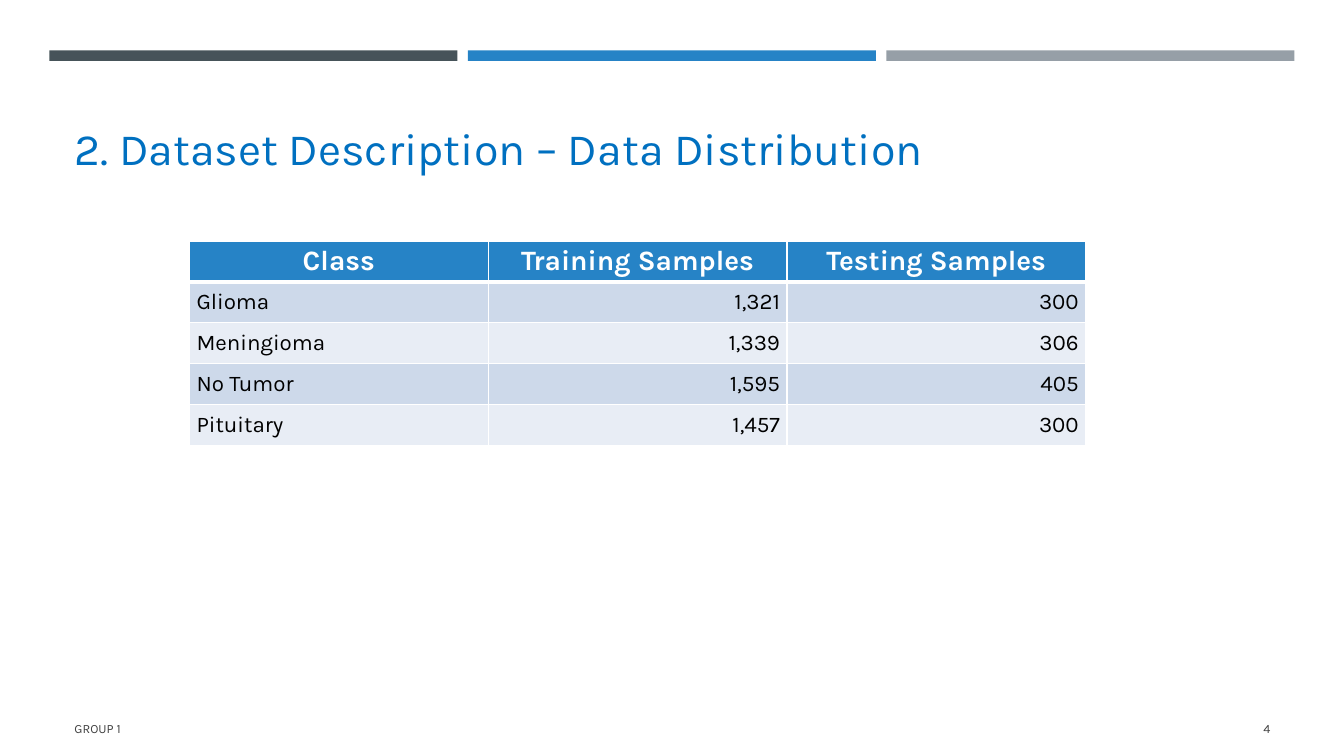
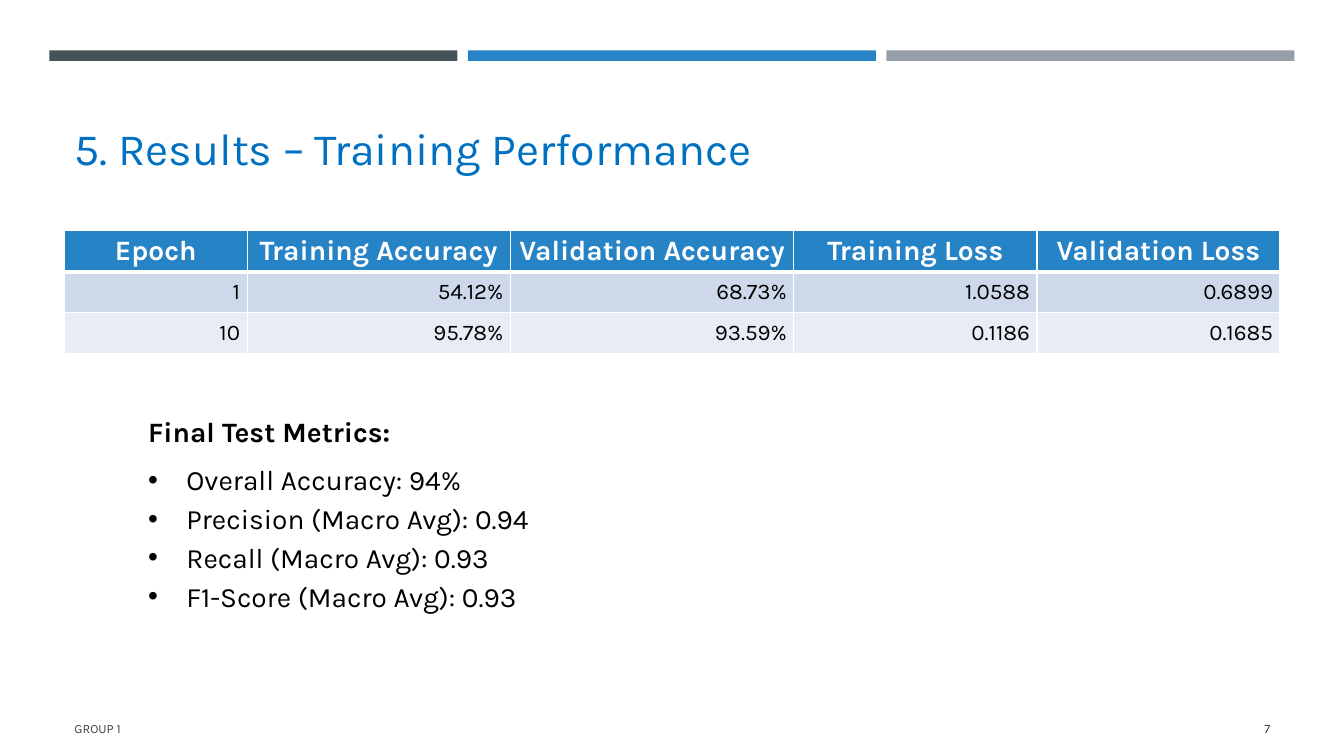
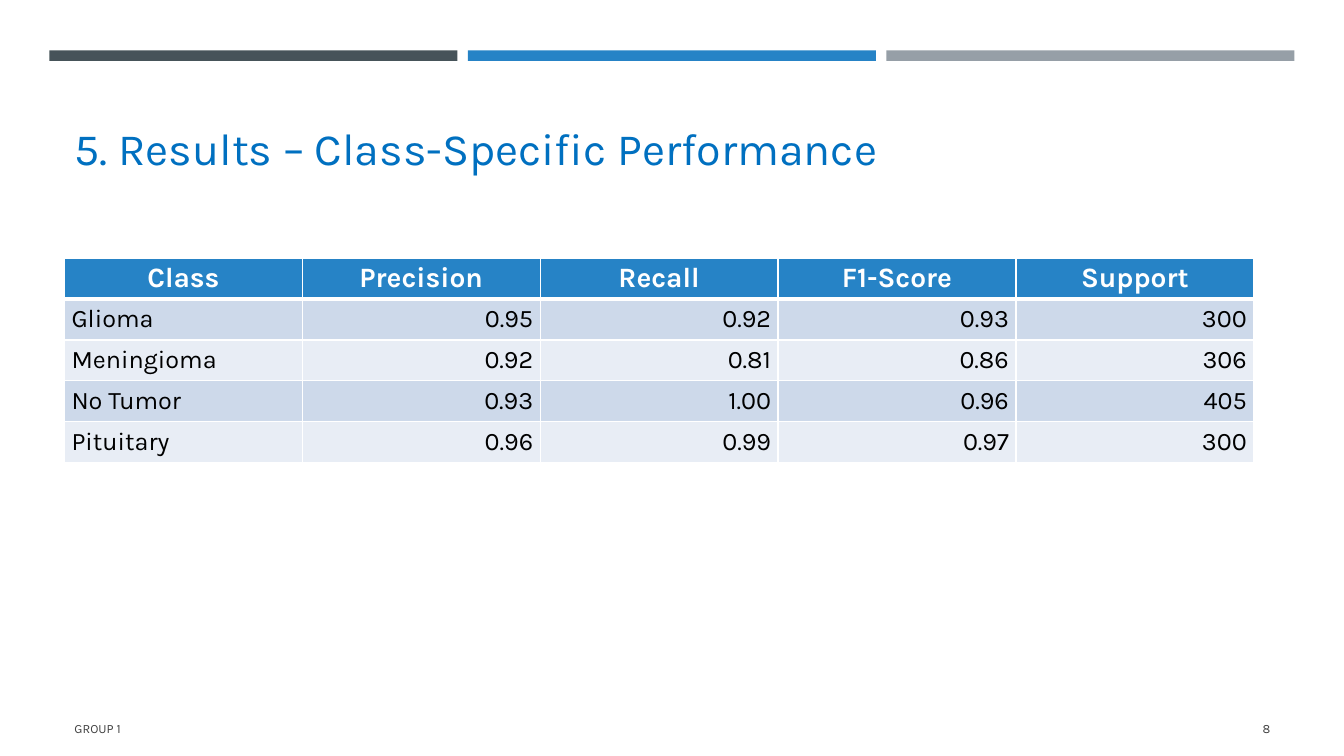
from lxml.etree import SubElement
from pptx import Presentation
from pptx.dml.color import RGBColor
from pptx.enum.shapes import MSO_SHAPE
from pptx.enum.text import MSO_ANCHOR, MSO_AUTO_SIZE, PP_ALIGN
from pptx.oxml.ns import qn
from pptx.util import Inches, Pt

LEFT, CENTER, RIGHT = PP_ALIGN.LEFT, PP_ALIGN.CENTER, PP_ALIGN.RIGHT
TOP, MIDDLE = MSO_ANCHOR.TOP, MSO_ANCHOR.MIDDLE
NO_FIT, GROW = MSO_AUTO_SIZE.NONE, MSO_AUTO_SIZE.SHAPE_TO_FIT_TEXT
RECTANGLE = MSO_SHAPE.RECTANGLE
TITLE_ONLY = 5


def color(value):
    """Turn a hex string into a colour."""
    return RGBColor.from_string(value)


def write(para, text, size=20, ink="000000", bold=False, align=LEFT,
          before=0, after=0, spacing=None, bullet=None):
    """Put formatted text into a paragraph."""
    para.alignment = align
    para.space_before, para.space_after = Pt(before), Pt(after)
    if spacing:
        para.line_spacing = spacing
    if bullet:
        properties = para._p.get_or_add_pPr()
        indent = Inches(0.38)
        properties.set("marL", str(indent))
        properties.set("indent", str(-indent))
        SubElement(properties, qn("a:buFont"), typeface="Arial")
        SubElement(properties, qn("a:buChar"), char=bullet)
    span = para.add_run()
    span.text = text
    span.font.name = Deck.FONT
    span.font.size = Pt(size)
    span.font.bold = bold
    span.font.color.rgb = color(ink)


def draw_borders(cell, widths):
    """Draw white cell borders, given widths by side."""
    properties = cell._tc.get_or_add_tcPr()
    for side in "LRTB":
        line = SubElement(properties, qn(f"a:ln{side}"), w=str(Pt(widths.get(side, 1))))
        fill = SubElement(line, qn("a:solidFill"))
        SubElement(fill, qn("a:srgbClr"), val=Deck.WHITE)


class Deck:
    """Hold the shared style and the current page; lengths are percent of the slide."""

    FONT = "Karla"
    WHITE, ACCENT, TITLE, FOOTER = "FFFFFF", "2683C6", "0070C0", "404040"
    BARS = ("465359", ACCENT, "969FA7")
    BANDS = ("CDD9EA", "E8EDF5")
    MARGIN, CONTENT = 4.8, 90.45
    BAR_LEFT, BAR_SPAN, BAR_GAP = 3.68, 92.63, 0.78
    ROW = 5.42

    def __init__(self):
        """Start an empty wide deck."""
        self.deck = Presentation()
        self.deck.slide_width, self.deck.slide_height = Inches(13.33), Inches(7.5)
        self.page = None

    def across(self, share):
        """Convert a percentage of the slide width."""
        return round(self.deck.slide_width * share / 100)

    def down(self, share):
        """Convert a percentage of the slide height."""
        return round(self.deck.slide_height * share / 100)

    def frame(self, left, top, width, height):
        """Convert percentages into a position and size."""
        return self.across(left), self.down(top), self.across(width), self.down(height)

    def add_page(self, title, number):
        """Add a page with its bars, title and footer."""
        self.page = self.deck.slides.add_slide(self.deck.slide_layouts[TITLE_ONLY])
        self.add_bars()
        self.add_title(title)
        self.add_text(self.MARGIN, 93.73, 56.71, 5.33, ["GROUP 1"], anchor=MIDDLE,
                      size=9, ink=self.FOOTER)
        self.add_text(86.63, 93.73, 8.62, 5.33, [number], anchor=MIDDLE,
                      size=9, ink=self.FOOTER, align=RIGHT)

    def add_bars(self):
        """Draw the row of equal bars at the top."""
        count = len(self.BARS)
        width = (self.BAR_SPAN - self.BAR_GAP * (count - 1)) / count
        for index, fill in enumerate(self.BARS):
            left = self.BAR_LEFT + index * (width + self.BAR_GAP)
            bar = self.page.shapes.add_shape(RECTANGLE, *self.frame(left, 6.67, width, 1.4))
            bar.shadow.inherit = False
            bar.fill.solid()
            bar.fill.fore_color.rgb = color(fill)
            bar.line.fill.background()

    def add_title(self, text):
        """Move and format the title placeholder."""
        box = self.page.shapes.title
        box.left, box.top, box.width, box.height = self.frame(
            self.MARGIN, 14.53, self.CONTENT, 13)
        box.text_frame.auto_size = NO_FIT
        box.text_frame.vertical_anchor = TOP
        write(box.text_frame.paragraphs[0], text, size=32, ink=self.TITLE,
              before=8, after=4, spacing=1.1)

    def add_text(self, left, top, width, height, lines, anchor=TOP, **style):
        """Add a text box with one paragraph for each line."""
        box = self.page.shapes.add_textbox(*self.frame(left, top, width, height))
        box.text_frame.word_wrap = True
        box.text_frame.vertical_anchor = anchor
        for index, line in enumerate(lines):
            para = box.text_frame.add_paragraph() if index else box.text_frame.paragraphs[0]
            write(para, line, **style)
        return box

    def add_list(self, left, top, width, height, heading, items):
        """Add a bold heading followed by bullets."""
        box = self.add_text(left, top, width, height, [heading],
                            bold=True, before=9, after=9)
        box.text_frame.auto_size = GROW
        for item in items:
            write(box.text_frame.add_paragraph(), item, before=1.8, after=1.8, bullet="•")

    def add_table(self, left, top, width, rows, weights=None, size=16):
        """Add a banded table whose first row is the header."""
        weights = weights or [1] * len(rows[0])
        table = self.page.shapes.add_table(
            len(rows), len(weights),
            *self.frame(left, top, width, self.ROW * len(rows))).table
        table.horz_banding = False
        for column, weight in zip(table.columns, weights):
            column.width = self.across(width * weight / sum(weights))
        for row_index, values in enumerate(rows):
            table.rows[row_index].height = self.down(self.ROW)
            for column_index, value in enumerate(values):
                self.fill_cell(table.cell(row_index, column_index), value, row_index, size)

    def fill_cell(self, cell, value, row_index, size):
        """Format one cell by its row and the kind of value."""
        cell.margin_left = cell.margin_right = Inches(0.07)
        cell.margin_top = cell.margin_bottom = 0
        cell.vertical_anchor = MIDDLE
        para = cell.text_frame.paragraphs[0]
        if row_index == 0:
            borders, fill = {"B": 3}, self.ACCENT
            style = {"size": 20, "ink": self.WHITE, "bold": True, "align": CENTER}
        else:
            borders = {"T": 3} if row_index == 1 else {}
            fill = self.BANDS[(row_index - 1) % 2]
            style = {"size": size, "align": LEFT if value[0].isalpha() else RIGHT}
        draw_borders(cell, borders)
        cell.fill.solid()
        cell.fill.fore_color.rgb = color(fill)
        write(para, value, before=1.8, after=1.8, **style)


def main():
    """Build the three pages and save them."""
    deck = Deck()

    deck.add_page("2. Dataset Description – Data Distribution", "4")
    deck.add_table(14.1, 31.87, 66.69, [
        ("Class", "Training Samples", "Testing Samples"),
        ("Glioma", "1,321", "300"),
        ("Meningioma", "1,339", "306"),
        ("No Tumor", "1,595", "405"),
        ("Pituitary", "1,457", "300"),
    ])

    deck.add_page("5. Results – Training Performance", "7")
    deck.add_table(Deck.MARGIN, 30.53, Deck.CONTENT, [
        ("Epoch", "Training Accuracy", "Validation Accuracy", "Training Loss", "Validation Loss"),
        ("1", "54.12%", "68.73%", "1.0588", "0.6899"),
        ("10", "95.78%", "93.59%", "0.1186", "0.1685"),
    ], weights=(1.81, 2.61, 2.81, 2.41, 2.41))
    deck.add_list(10.28, 54.13, 49.96, 28.13, "Final Test Metrics:", [
        "Overall Accuracy: 94%",
        "Precision (Macro Avg): 0.94",
        "Recall (Macro Avg): 0.93",
        "F1-Score (Macro Avg): 0.93",
    ])

    deck.add_page("5. Results – Class-Specific Performance", "8")
    deck.add_table(Deck.MARGIN, 34.13, 88.5, [
        ("Class", "Precision", "Recall", "F1-Score", "Support"),
        ("Glioma", "0.95", "0.92", "0.93", "300"),
        ("Meningioma", "0.92", "0.81", "0.86", "306"),
        ("No Tumor", "0.93", "1.00", "0.96", "405"),
        ("Pituitary", "0.96", "0.99", "0.97", "300"),
    ], size=18)

    deck.deck.save("out.pptx")


if __name__ == "__main__":
    main()
